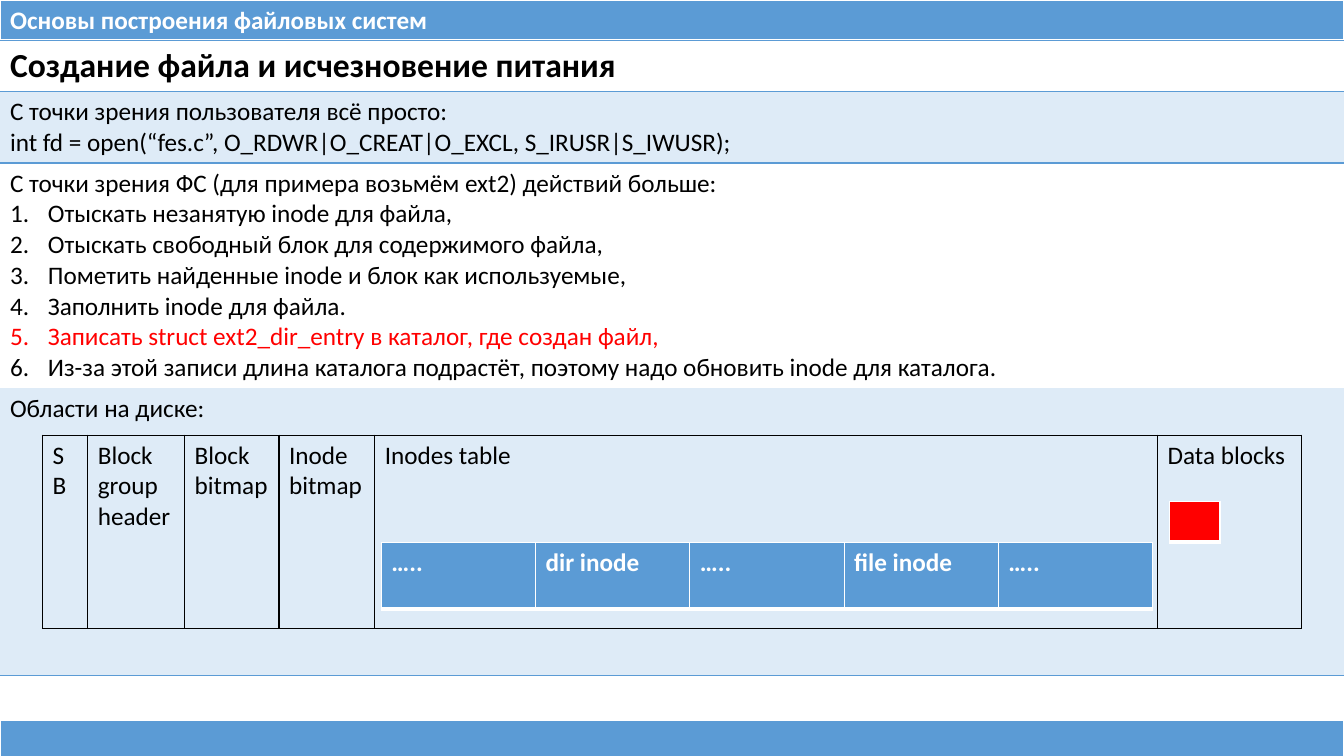
from pptx import Presentation
from pptx.dml.color import RGBColor as RGB
from pptx.oxml.ns import qn
from pptx.util import Pt
from lxml.etree import SubElement as Sub

BLUE = RGB(0x5B, 0x9B, 0xD5)
PALE = RGB(0xDE, 0xEB, 0xF7)
WHITE = RGB(0xFF, 0xFF, 0xFF)
BLACK = RGB(0, 0, 0)
RED = RGB(0xFF, 0, 0)
PLAIN = "{2D5ABB26-0587-4C30-8999-92F81FD0307C}"  # table style without grid
FRAME = {"L": (WHITE, 1), "R": (WHITE, 1), "T": (WHITE, 1), "B": (WHITE, 3)}
GRID = {side: (BLACK, 1) for side in "LRTB"}


def write(cell, text, size=18, color=BLACK, bold=False):
    cell.text = text
    for par in cell.text_frame.paragraphs:
        for run in par.runs:
            font = run.font
            font.name, font.size, font.bold = "Calibri", Pt(size), bold
            font.color.rgb = color


def table(left, top, cols, rows, fills, edges):
    """Add a table; fills and edges hold one entry per row."""
    frame = slide.shapes.add_table(len(rows), len(cols), Pt(left), Pt(top),
                                   Pt(sum(cols)), Pt(sum(rows)))
    tab = frame.table
    tab.first_row = tab.horz_banding = False
    tab._tbl.tblPr[0].text = PLAIN
    for col, width in zip(tab.columns, cols):
        col.width = Pt(width)
    for row, height, fill, edge in zip(tab.rows, rows, fills, edges):
        row.height = Pt(height)
        for cell in row.cells:
            props = cell._tc.get_or_add_tcPr()
            for side in "LRTB":
                if side in edge:
                    color, width = edge[side]
                    line = Sub(props, qn("a:ln" + side), w=str(Pt(width)))
                    paint = Sub(line, qn("a:solidFill"))
                    Sub(paint, qn("a:srgbClr"), val=str(color))
            if fill is None:
                cell.fill.background()
            else:
                cell.fill.solid()
                cell.fill.fore_color.rgb = fill
    return tab


deck = Presentation()
deck.slide_width, deck.slide_height = Pt(960), Pt(540)
slide = deck.slides.add_slide(deck.slide_layouts[6])

# Header and footer bars
head = table(0, 0, [960], [28.8], [BLUE], [FRAME])
write(head.cell(0, 0), "Основы построения файловых систем", color=WHITE, bold=True)
table(0, 514.4, [960], [28.8], [BLUE], [FRAME])

# Main text
rule = (BLUE, 1)
main = table(0, 28.8, [960], [36.4, 51, 161, 205], [None, PALE, None, PALE],
             [{"T": rule, "B": rule}, {"T": rule}, {}, {"B": rule}])
write(main.cell(0, 0), "Создание файла и исчезновение питания", size=24, bold=True)
write(main.cell(1, 0), "С точки зрения пользователя всё просто:\n"
      "int fd = open(“fes.c”, O_RDWR|O_CREAT|O_EXCL, S_IRUSR|S_IWUSR);")
steps = main.cell(2, 0)
write(steps, "\n".join([
    "С точки зрения ФС (для примера возьмём ext2) действий больше:",
    "Отыскать незанятую inode для файла,",
    "Отыскать свободный блок для содержимого файла,",
    "Пометить найденные inode и блок как используемые,",
    "Заполнить inode для файла.",
    "Записать struct ext2_dir_entry в каталог, где создан файл,",
    "Из-за этой записи длина каталога подрастёт, поэтому надо обновить inode для каталога.",
]))
write(main.cell(3, 0), "Области на диске:")

# Numbered steps, the fifth one in red
pars = steps.text_frame.paragraphs
for par in pars[1:]:
    props = par._p.get_or_add_pPr()
    props.set("marL", str(Pt(27)))
    props.set("indent", str(Pt(-27)))
    Sub(props, qn("a:buFont"), typeface="+mj-lt")
    Sub(props, qn("a:buAutoNum"), type="arabicPeriod")
pars[5].runs[0].font.color.rgb = RED

# Disk areas; \v breaks a line inside a paragraph
areas = ["SB", "Block group\vheader", "Block\vbitmap", "Inode\vbitmap",
         "Inodes table", "Data blocks"]
disk = table(30.3, 310.8, [32.4, 69.2, 67.4, 68.4, 559.2, 103], [138], [None], [GRID])
for cell, text in zip(disk.rows[0].cells, areas):
    write(cell, text)

# Inodes inside the inode table
nodes = ["…..", "dir inode", "…..", "file inode", "….."]
inner = table(272.4, 387.6, [110.2] * len(nodes), [47.2], [BLUE], [FRAME])
for cell, text in zip(inner.rows[0].cells, nodes):
    write(cell, text, color=WHITE, bold=True)

# Used data block
table(835.4, 358, [36], [29.2], [RED], [FRAME])

deck.save("out.pptx")
